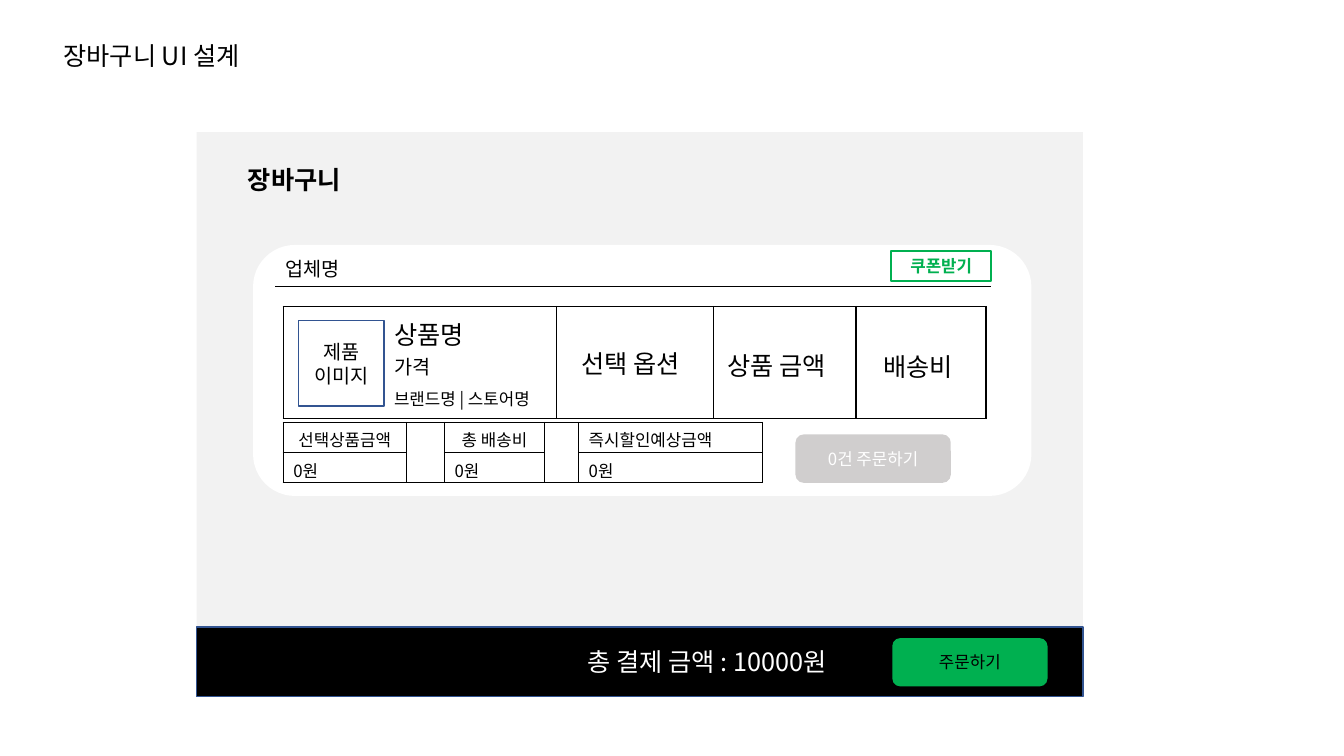
from lxml.etree import SubElement
from pptx import Presentation
from pptx.dml.color import RGBColor
from pptx.enum.shapes import MSO_CONNECTOR, MSO_SHAPE
from pptx.enum.text import MSO_ANCHOR, MSO_AUTO_SIZE, PP_ALIGN
from pptx.oxml.ns import qn
from pptx.util import Inches, Pt

FONT = "Noto Sans CJK KR"
BLACK = RGBColor(0x00, 0x00, 0x00)
WHITE = RGBColor(0xFF, 0xFF, 0xFF)
PANEL = RGBColor(0xF2, 0xF2, 0xF2)
GREEN = RGBColor(0x00, 0xB0, 0x50)
GRAY = RGBColor(0xD0, 0xCE, 0xCE)
BLUE = RGBColor(0x32, 0x54, 0x91)


def write(frame, lines, size, color=BLACK, align=PP_ALIGN.LEFT, bold=False):
    for index, line in enumerate(lines.split("\n")):
        para = frame.add_paragraph() if index else frame.paragraphs[0]
        para.alignment = align
        span = para.add_run()
        span.text = line
        span.font.size = Pt(size)
        span.font.bold = bold
        span.font.color.rgb = color
        span.font.name = FONT
        SubElement(span.font._element, qn("a:ea"), typeface=FONT)


def add_block(preset, left, top, width, height, fill=None, line=None, weight=1):
    block = page.shapes.add_shape(
        preset, Inches(left), Inches(top), Inches(width), Inches(height))
    block.shadow.inherit = False
    if fill is None:
        block.fill.background()
    else:
        block.fill.solid()
        block.fill.fore_color.rgb = fill
    if line is None:
        block.line.fill.background()
    else:
        block.line.color.rgb = line
        block.line.width = Pt(weight)
    block.text_frame.vertical_anchor = MSO_ANCHOR.MIDDLE
    return block.text_frame


deck = Presentation()
deck.slide_width, deck.slide_height = Inches(13.33), Inches(7.5)
page = deck.slides.add_slide(deck.slide_layouts[5])

title = page.shapes.title
title.left, title.top = Inches(0.53), Inches(0.35)
title.width, title.height = Inches(2.14), Inches(0.4)
title.text_frame.word_wrap = False
title.text_frame.auto_size = MSO_AUTO_SIZE.NONE
title.text_frame.vertical_anchor = MSO_ANCHOR.TOP
write(title.text_frame, "장바구니 UI 설계", 18)

add_block(MSO_SHAPE.RECTANGLE, 1.95, 1.31, 8.79, 4.91, PANEL)
total_bar = add_block(MSO_SHAPE.RECTANGLE, 1.95, 6.22, 8.79, 0.69, BLACK, BLUE)
total_bar.margin_left = Inches(3.88)
write(total_bar, "총 결제 금액 : 10000원", 18, WHITE)
add_block(MSO_SHAPE.ROUNDED_RECTANGLE, 2.51, 2.43, 7.72, 2.49, WHITE)

header_rule = page.shapes.add_connector(
    MSO_CONNECTOR.STRAIGHT, Inches(2.73), Inches(2.84), Inches(9.83), Inches(2.84))
header_rule.line.color.rgb = BLACK
header_rule.line.width = Pt(0.5)
SubElement(header_rule._element.spPr, qn("a:effectLst"))

coupon = add_block(MSO_SHAPE.RECTANGLE, 8.84, 2.49, 0.99, 0.3, line=GREEN, weight=1.5)
write(coupon, "쿠폰받기", 12, GREEN, PP_ALIGN.CENTER, True)

buttons = [
    ("주문하기", 8.85, 6.33, GREEN, BLACK),
    ("0건 주문하기", 7.89, 4.31, GRAY, WHITE),
]
for label, left, top, fill, color in buttons:
    button = add_block(MSO_SHAPE.ROUNDED_RECTANGLE, left, top, 1.54, 0.48, fill)
    write(button, label, 12, color, PP_ALIGN.CENTER)

tables = [
    (3.04, 1.11, [2.71, 1.56, 1.41, 1.29], [[""] * 4]),
    (4.19, 0.3, [1.22, 0.38, 0.99, 0.34, 1.82],
     [["선택상품금액", "", "총 배송비", "", "즉시할인예상금액"],
      ["0원", "", "0원", "", "0원"]]),
]
for top, row_height, widths, rows in tables:
    table = page.shapes.add_table(
        len(rows), len(widths), Inches(2.81), Inches(top),
        Inches(sum(widths)), Inches(row_height * len(rows))).table
    table.first_row = False
    table.horz_banding = False
    for column, width in zip(table.columns, widths):
        column.width = Inches(width)
    for row_index, labels in enumerate(rows):
        table.rows[row_index].height = Inches(row_height)
        for column_index, label in enumerate(labels):
            cell = table.cell(row_index, column_index)
            cell.margin_top, cell.margin_bottom = Inches(0.05), 0
            properties = cell._tc.get_or_add_tcPr()
            for side in ("a:lnL", "a:lnR", "a:lnT", "a:lnB"):
                border = SubElement(properties, qn(side), w=str(Pt(1)))
                paint = SubElement(border, qn("a:solidFill"))
                SubElement(paint, qn("a:srgbClr"), val=str(BLACK))
            cell.fill.background()
            if label:
                centered = row_index == 0 and column_index < 4
                write(cell.text_frame, label, 12,
                      align=PP_ALIGN.CENTER if centered else PP_ALIGN.LEFT)
            else:
                cell.text_frame.paragraphs[0].font.size = Pt(12)
    if len(rows) == 2:
        for gap in (1, 3):
            table.cell(0, gap).merge(table.cell(1, gap))

product_image = add_block(MSO_SHAPE.RECTANGLE, 2.96, 3.18, 0.85, 0.85, line=BLUE)
write(product_image, "제품\n이미지", 14, align=PP_ALIGN.CENTER)

labels = [
    ("장바구니", 2.36, 1.58, 1.21, 0.4, 18, True),
    ("업체명", 2.73, 2.5, 0.79, 0.34, 14, False),
    ("상품명", 3.81, 3.12, 0.96, 0.4, 18, False),
    ("가격", 3.81, 3.47, 0.72, 0.34, 14, False),
    ("브랜드명 | 스토어명", 3.81, 3.81, 1.71, 0.3, 12, False),
    ("선택 옵션", 5.67, 3.41, 1.3, 0.4, 18, False),
    ("상품 금액", 7.12, 3.43, 1.3, 0.4, 18, False),
    ("배송비", 8.66, 3.44, 0.96, 0.4, 18, False),
]
for label, left, top, width, height, size, bold in labels:
    box = page.shapes.add_textbox(
        Inches(left), Inches(top), Inches(width), Inches(height))
    box.text_frame.word_wrap = False
    write(box.text_frame, label, size, bold=bold)

deck.save("out.pptx")
